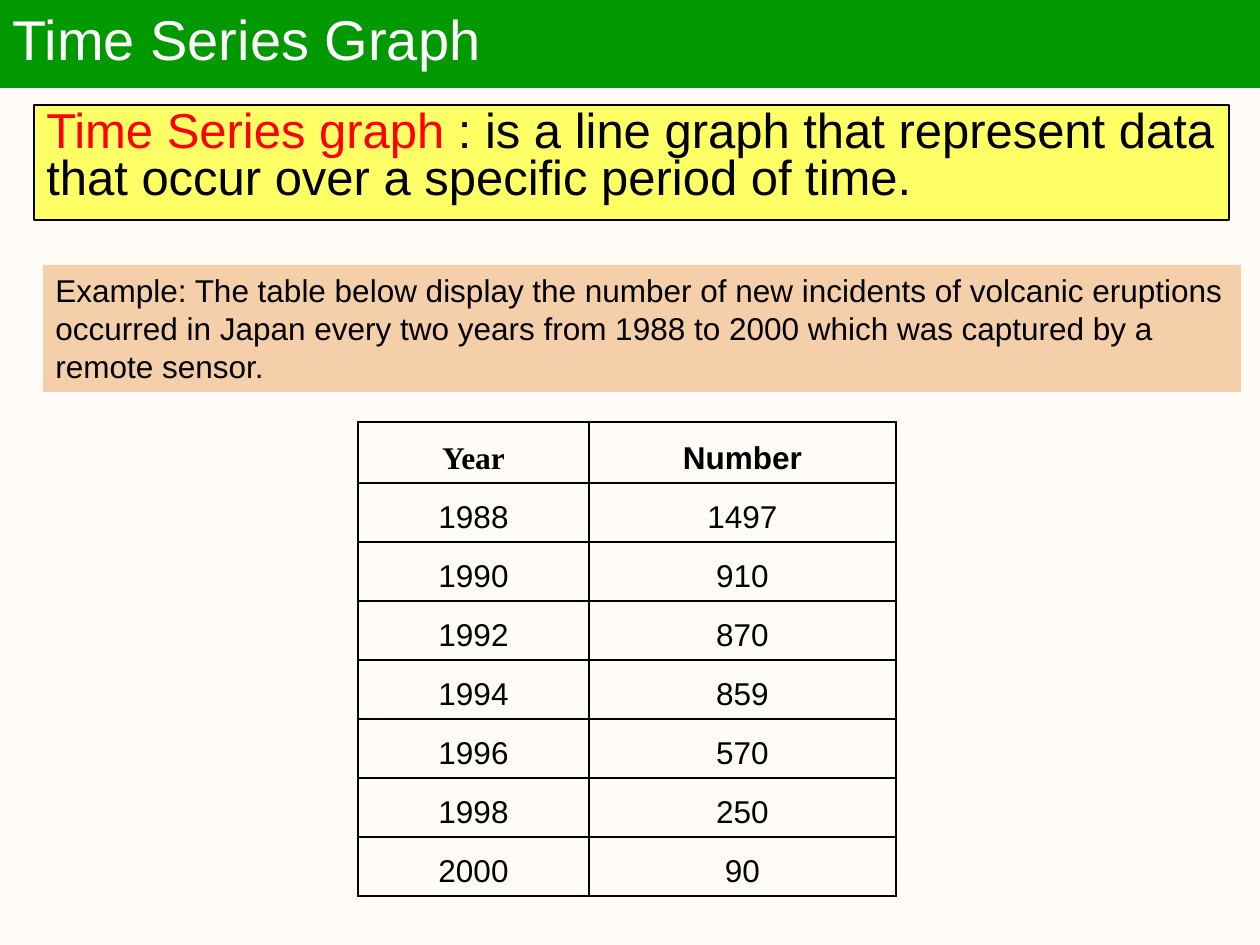
from lxml import etree
from pptx import Presentation
from pptx import util as u
from pptx.dml.color import RGBColor
from pptx.enum import shapes, text
from pptx.oxml.ns import qn

BLACK = RGBColor(0, 0, 0)
WHITE = RGBColor(255, 255, 255)
RED = RGBColor(255, 0, 0)
GREEN = RGBColor(0, 153, 0)
YELLOW = RGBColor(255, 255, 102)
PEACH = RGBColor(244, 207, 170)
CREAM = RGBColor(255, 252, 247)

TITLE = [("Time Series Graph", WHITE)]
DEFINITION = [
    ("Time Series graph ", RED),
    (": is a line graph that represent data that occur over a specific period of time.", BLACK),
]
EXAMPLE = [
    ("Example: The table below display the number of new incidents of volcanic "
     "eruptions occurred in Japan every two years from 1988 to 2000 which was "
     "captured by a remote sensor.", BLACK),
]
ERUPTIONS = [
    ("Year", "Number"),
    ("1988", "1497"),
    ("1990", "910"),
    ("1992", "870"),
    ("1994", "859"),
    ("1996", "570"),
    ("1998", "250"),
    ("2000", "90"),
]
TITLE_BOX = (0, -3, 1260, 90)
DEFINITION_BOX = (34, 105, 1195, 115)
EXAMPLE_BOX = (43, 265, 1198, 127)
TABLE_LEFT, TABLE_TOP = 358, 422
COLUMN_WIDTHS = (231, 307)
HEADER_HEIGHT, ROW_HEIGHT = 61, 59


def px(value):
    return u.Emu(round(value * 914400 / 126))


def set_format(target, values):
    for name, value in values.items():
        setattr(target, name, value)


def add_run(paragraph, content, color, **font):
    run = paragraph.add_run()
    run.text = content
    run.font.color.rgb = color
    set_format(run.font, font)


def format_box(shape, box, runs, size, fill, line=None, spacing=1.0,
               anchor=text.MSO_ANCHOR.TOP):
    set_format(shape, dict(zip(("left", "top", "width", "height"), map(px, box))))
    shape.fill.solid()
    shape.fill.fore_color.rgb = fill
    if line is None:
        shape.line.fill.background()
    else:
        shape.line.color.rgb = line
        shape.line.width = u.Pt(0.75)
    set_format(shape.text_frame, {
        "word_wrap": True,
        "auto_size": text.MSO_AUTO_SIZE.NONE,
        "vertical_anchor": anchor,
    })
    paragraph = shape.text_frame.paragraphs[0]
    set_format(paragraph, {
        "alignment": text.PP_ALIGN.LEFT,
        "line_spacing": spacing,
        "space_before": u.Pt(0),
    })
    for content, color in runs:
        add_run(paragraph, content, color, name="Arial", size=u.Pt(size))


def add_borders(cell):
    properties = cell._tc.get_or_add_tcPr()
    for position, side in enumerate(("lnL", "lnR", "lnT", "lnB")):
        border = etree.Element(qn(f"a:{side}"), w=str(u.Pt(1)))
        fill = etree.SubElement(border, qn("a:solidFill"))
        etree.SubElement(fill, qn("a:srgbClr"), val=str(BLACK))
        properties.insert(position, border)


def add_rectangle(slide, box):
    shape = slide.shapes.add_shape(shapes.MSO_SHAPE.RECTANGLE, *map(px, box))
    shape.shadow.inherit = False
    return shape


def add_eruption_table(slide):
    heights = [HEADER_HEIGHT] + [ROW_HEIGHT] * (len(ERUPTIONS) - 1)
    table = slide.shapes.add_table(
        len(ERUPTIONS), len(COLUMN_WIDTHS), px(TABLE_LEFT), px(TABLE_TOP),
        px(sum(COLUMN_WIDTHS)), px(sum(heights))).table
    set_format(table, {"first_row": False, "horz_banding": False})
    for column, width in zip(table.columns, COLUMN_WIDTHS):
        column.width = px(width)
    for row, height, values in zip(table.rows, heights, ERUPTIONS):
        row.height = px(height)
        for cell, value in zip(row.cells, values):
            cell.fill.background()
            add_borders(cell)
            cell.vertical_anchor = text.MSO_ANCHOR.BOTTOM
            paragraph = cell.text_frame.paragraphs[0]
            paragraph.alignment = text.PP_ALIGN.CENTER
            add_run(paragraph, value, BLACK, size=u.Pt(18),
                    name="Times New Roman" if value == "Year" else "Arial",
                    bold=values is ERUPTIONS[0])


def main():
    presentation = Presentation()
    set_format(presentation, {"slide_width": px(1260), "slide_height": px(945)})
    slide = presentation.slides.add_slide(presentation.slide_layouts[5])
    slide.background.fill.solid()
    slide.background.fill.fore_color.rgb = CREAM

    format_box(slide.shapes.title, TITLE_BOX, TITLE, 32, GREEN, GREEN, 0.9,
               text.MSO_ANCHOR.MIDDLE)
    format_box(add_rectangle(slide, DEFINITION_BOX), DEFINITION_BOX, DEFINITION,
               28, YELLOW, BLACK, 0.8)
    format_box(add_rectangle(slide, EXAMPLE_BOX), EXAMPLE_BOX, EXAMPLE, 18, PEACH)
    add_eruption_table(slide)
    presentation.save("out.pptx")


if __name__ == "__main__":
    main()
